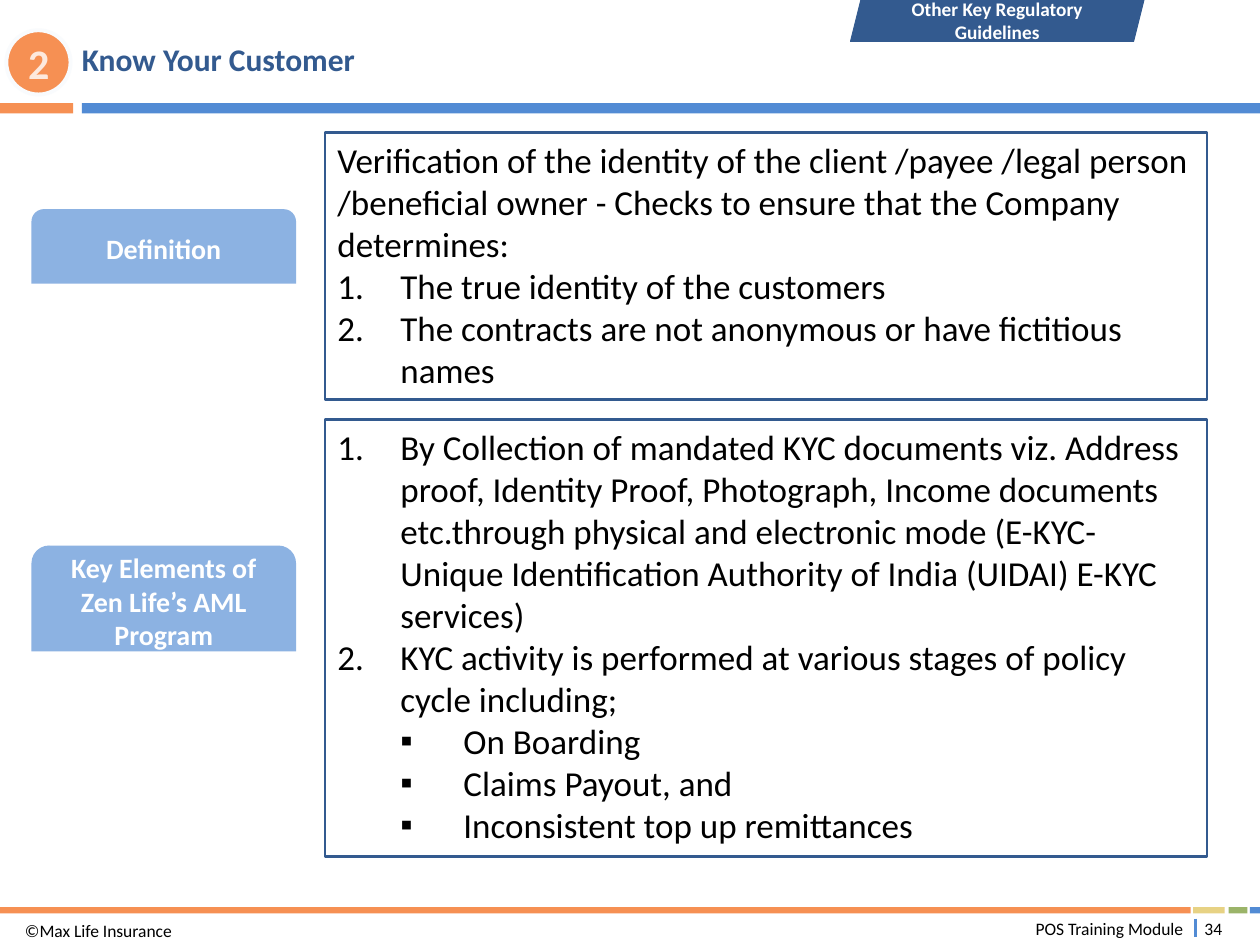
from lxml.etree import SubElement
from pptx import Presentation
from pptx.dml.color import RGBColor
from pptx.enum.shapes import MSO_CONNECTOR, MSO_SHAPE
from pptx.enum.text import MSO_ANCHOR, MSO_AUTO_SIZE, PP_ALIGN
from pptx.oxml.ns import qn
from pptx.util import Inches, Pt

WIDE, HIGH = Inches(10), Inches(7.5)
NAVY, BLUE, PALE, CORAL = "335A8F", "528BD4", "8CB2E2", "F69053"
BLACK, WHITE = "000000", "FFFFFF"
LEFT, MID, RIGHT = PP_ALIGN.LEFT, PP_ALIGN.CENTER, PP_ALIGN.RIGHT


def paint(color, tone):
    color.rgb = RGBColor.from_string(tone)


def area(*shares):
    sides = (WIDE, HIGH) * 2
    return [int(side * share / 100) for side, share in zip(sides, shares)]


def mark(para, kind, level):
    props = para._p.get_or_add_pPr()
    props.set("marL", str(Inches(0.5 * (level + 1))))
    props.set("indent", str(-Inches(0.5)))
    if kind == "number":
        SubElement(props, qn("a:buFont"), typeface="+mj-lt")
        SubElement(props, qn("a:buAutoNum"), type="arabicPeriod")
    else:
        SubElement(props, qn("a:buFont"), typeface="Arial")
        SubElement(props, qn("a:buChar"), char="▪")
    para.level = level


def style(para, size, tone, bold, align):
    para.alignment = align
    for run in para.runs:
        run.font.name = "Calibri"
        run.font.size = Pt(size)
        run.font.bold = bold
        paint(run.font.color, tone)


def write(shape, text, size, tone=BLACK, bold=False, align=LEFT,
          anchor=MSO_ANCHOR.MIDDLE, inset=None):
    frame = shape.text_frame
    frame.word_wrap = True
    frame.vertical_anchor = anchor
    if inset is not None:
        frame.margin_left = frame.margin_right = Inches(inset)
        frame.margin_top = frame.margin_bottom = Inches(inset)
    frame.text = text
    style(frame.paragraphs[0], size, tone, bold, align)


def block(slide, kind, place, fill=None, edge=None, width=0):
    shape = slide.shapes.add_shape(kind, *area(*place))
    shape.shadow.inherit = False
    if fill:
        shape.fill.solid()
        paint(shape.fill.fore_color, fill)
    else:
        shape.fill.background()
    if edge:
        paint(shape.line.color, edge)
        shape.line.width = Pt(width)
    else:
        shape.line.fill.background()
    return shape


def label(slide, place, text, size, **look):
    write(slide.shapes.add_textbox(*area(*place)), text, size, **look)


def tab(slide, top, tall, text):
    shape = block(slide, MSO_SHAPE.ROUND_2_SAME_RECTANGLE,
                  (2.5, top, 21, tall), PALE)
    write(shape, text, 16, WHITE, True, MID)


def panel(slide, top, tall, items):
    shape = block(slide, MSO_SHAPE.RECTANGLE, (25.8, top, 70, tall),
                  edge=NAVY, width=1.5)
    frame = shape.text_frame
    frame.word_wrap = True
    frame.auto_size = MSO_AUTO_SIZE.SHAPE_TO_FIT_TEXT
    frame.vertical_anchor = MSO_ANCHOR.TOP
    frame.text = "\n".join(text for text, _, _ in items)
    for para, (_, kind, level) in zip(frame.paragraphs, items):
        if kind:
            mark(para, kind, level)
        style(para, 20, BLACK, False, LEFT)


def rule(slide, x, top, end):
    start, stop = area(x, top), area(x, end)
    line = slide.shapes.add_connector(MSO_CONNECTOR.STRAIGHT, *start, *stop)
    paint(line.line.color, BLUE)
    line.line.width = Pt(1.5)
    SubElement(line._element.spPr, qn("a:effectLst"))


def bars(slide, top, tall, parts):
    for x, wide, tone in parts:
        block(slide, MSO_SHAPE.RECTANGLE, (x, top, wide, tall), tone)


def header(slide):
    bars(slide, 10.93, 1.07, [(6.5, 93.5, BLUE), (0, 5.8, CORAL)])
    label(slide, (6.5, 1.47, 86, 9.47), "Know Your Customer", 18,
          tone=NAVY, bold=True, inset=0)
    badge = block(slide, MSO_SHAPE.OVAL, (0.5, 3.2, 5.1, 6.8),
                  CORAL, "F9FBFD", 2.25)
    write(badge, "2", 24, "FDE9DD", True, MID)
    flag = block(slide, MSO_SHAPE.PARALLELOGRAM, (67.5, 0, 23.3, 4.4),
                 NAVY, NAVY, 0.5)
    write(flag, "Other Key Regulatory Guidelines", 11, WHITE, True, MID,
          inset=0.06)


def footer(slide):
    bars(slide, 96, 0.67, [(0, 94.5, CORAL), (94.7, 2.5, "E7D284"),
                           (97.5, 1.5, "9BB469"), (99.2, 0.8, BLUE)])
    rule(slide, 94.9, 97.2, 99.2)
    label(slide, (94.8, 96.93, 3, 2.67), "34", 10, align=MID, inset=0.05)
    label(slide, (73.1, 96.93, 21.3, 2.67), "POS Training Module", 10,
          align=RIGHT, inset=0.05)
    label(slide, (1, 96.67, 31.3, 3.07), "©Max Life Insurance", 10,
          anchor=MSO_ANCHOR.TOP)


def main():
    deck = Presentation()
    deck.slide_width, deck.slide_height = WIDE, HIGH
    slide = deck.slides.add_slide(deck.slide_layouts[6])
    header(slide)
    panel(slide, 14, 28.27, [
        ("Verification of the identity of the client /payee /legal person "
         "/beneficial owner - Checks to ensure that the Company determines:",
         None, 0),
        ("The true identity of the customers", "number", 0),
        ("The contracts are not anonymous or have fictitious names",
         "number", 0),
    ])
    tab(slide, 22.13, 7.87, "Definition")
    panel(slide, 44.4, 46.27, [
        ("By Collection of mandated KYC documents viz. Address proof, "
         "Identity Proof, Photograph, Income documents etc.through physical "
         "and electronic mode (E-KYC-Unique Identification Authority of "
         "India (UIDAI) E-KYC services)", "number", 0),
        ("KYC activity is performed at various stages of policy cycle "
         "including;", "number", 0),
        ("On Boarding", "square", 1),
        ("Claims Payout, and", "square", 1),
        ("Inconsistent top up remittances", "square", 1),
    ])
    tab(slide, 57.73, 11.2, "Key Elements of Zen Life’s AML Program")
    footer(slide)
    deck.save("out.pptx")


if __name__ == "__main__":
    main()
